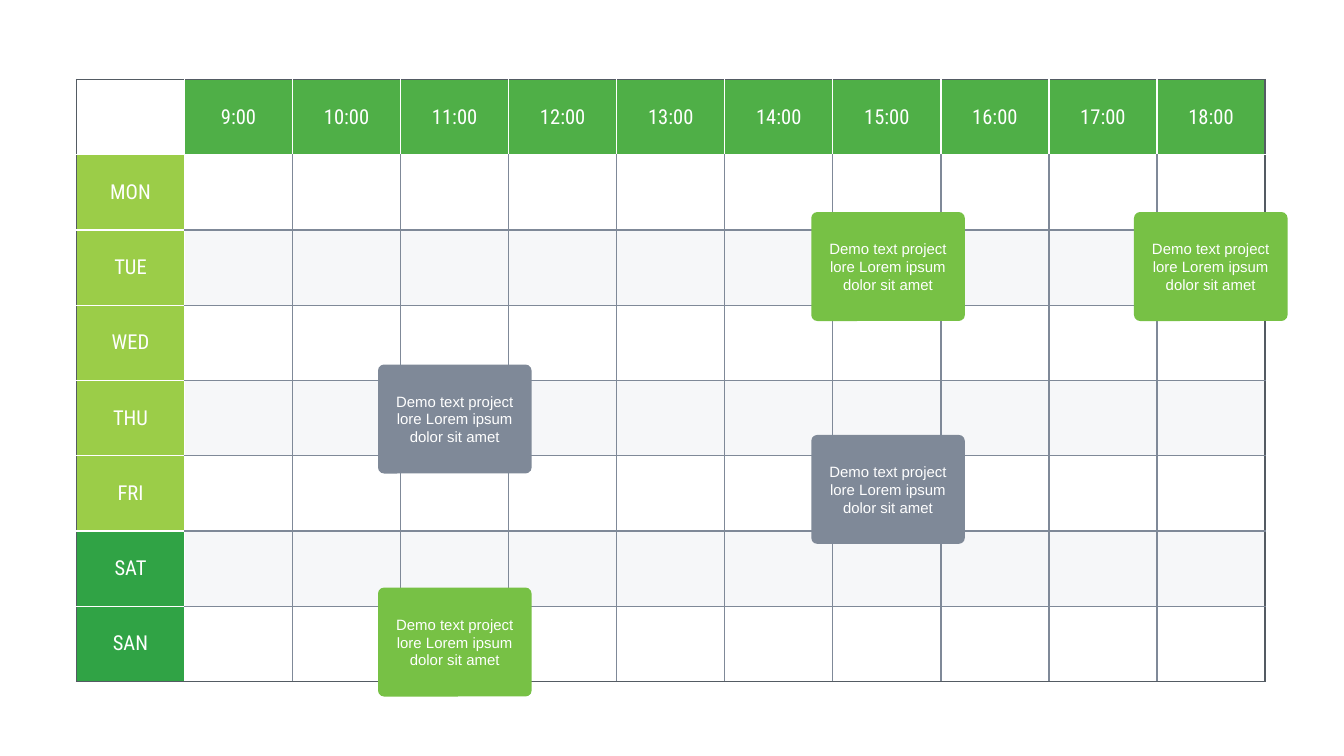
from pptx import Presentation
from pptx.dml.color import RGBColor
from pptx.enum.shapes import MSO_SHAPE
from pptx.enum.text import MSO_ANCHOR, PP_ALIGN
from pptx.oxml import parse_xml
from pptx.oxml.ns import nsdecls, qn
from pptx.util import Pt

ROUNDED = MSO_SHAPE.ROUNDED_RECTANGLE
MIDDLE = MSO_ANCHOR.MIDDLE
CENTER = PP_ALIGN.CENTER

WHITE = RGBColor(0xFF, 0xFF, 0xFF)
HOUR_GREEN = RGBColor(0x4F, 0xAF, 0x47)
WEEKDAY_GREEN = RGBColor(0x9B, 0xCD, 0x48)
WEEKEND_GREEN = RGBColor(0x30, 0xA3, 0x45)
CARD_GREEN = RGBColor(0x77, 0xC1, 0x45)
GREY = RGBColor(0x7F, 0x89, 0x98)
DARK = RGBColor(0x54, 0x5B, 0x63)
BAND = RGBColor(0xEE, 0xF0, 0xF4)

HOURS = [f"{hour}:00" for hour in range(9, 19)]
DAYS = ["MON", "TUE", "WED", "THU", "FRI", "SAT", "SAN"]
WEEKEND = ("SAT", "SAN")
CARD_TEXT = "Demo text project lore Lorem ipsum dolor sit amet"
CARD_W, CARD_H = 82.3, 58.4
CARDS = [
    (434.6, 113.6, CARD_GREEN),
    (202.5, 195.3, GREY),
    (434.6, 233, GREY),
    (202.5, 314.8, CARD_GREEN),
    (607.5, 113.6, CARD_GREEN),
]


def write_text(tf, text, size, font):
    p = tf.paragraphs[0]
    p.alignment = CENTER
    r = p.add_run()
    r.text = text
    r.font.size = Pt(size)
    r.font.name = font
    r.font.color.rgb = WHITE


def edge_color(outer, header):
    if outer:
        return DARK
    return WHITE if header else GREY


def set_borders(cell, colors):
    tc_pr = cell._tc.get_or_add_tcPr()
    for i, (side, color) in enumerate(zip("LRTB", colors)):
        tc_pr.insert(i, parse_xml(
            f'<a:ln{side} {nsdecls("a")} w="{Pt(0.75)}"><a:solidFill>'
            f'<a:srgbClr val="{color}"/></a:solidFill></a:ln{side}>'))


def fill_cell(cell, color, alpha=None):
    cell.fill.solid()
    cell.fill.fore_color.rgb = color
    if alpha:
        clr = cell._tc.tcPr.find(".//" + qn("a:srgbClr"))
        clr.append(parse_xml(f'<a:alpha {nsdecls("a")} val="{alpha * 1000}"/>'))


def format_cell(cell, row, col):
    if row and col:
        if row % 2:
            cell.fill.background()
        else:
            fill_cell(cell, BAND, 50)
    elif row or col:
        text = DAYS[row - 1] if row else HOURS[col - 1]
        day_color = WEEKEND_GREEN if text in WEEKEND else WEEKDAY_GREEN
        fill_cell(cell, day_color if row else HOUR_GREEN)
        cell.vertical_anchor = MIDDLE
        cell.margin_left = cell.margin_right = Pt(2.88)
        cell.margin_top = cell.margin_bottom = Pt(1.44)
        write_text(cell.text_frame, text, 11, "Roboto Condensed")
    else:
        cell.fill.background()
    set_borders(cell, [
        edge_color(col == 0, col == 1 or row == 0),
        edge_color(col == len(HOURS), col == 0 or row == 0),
        edge_color(row == 0, row == 1 or col == 0),
        edge_color(row == len(DAYS), row == 0 or col == 0),
    ])


def add_timetable(s, x, y, w, h):
    rows, cols = len(DAYS) + 1, len(HOURS) + 1
    table = s.shapes.add_table(rows, cols, Pt(x), Pt(y), Pt(w), Pt(h)).table
    table.first_row = table.horz_banding = False
    for column in table.columns:
        column.width = Pt(w / cols)
    for row in range(rows):
        table.rows[row].height = Pt(h / rows)
        for col in range(cols):
            format_cell(table.cell(row, col), row, col)


def add_card(s, x, y, w, h, color):
    sp = s.shapes.add_shape(ROUNDED, Pt(x), Pt(y), Pt(w), Pt(h))
    sp.adjustments[0] = 0.056
    sp.shadow.inherit = False
    sp.fill.solid()
    sp.fill.fore_color.rgb = color
    sp.line.fill.background()
    tf = sp.text_frame
    tf.word_wrap = True
    tf.vertical_anchor = MIDDLE
    tf.margin_left = tf.margin_right = Pt(1.44)
    tf.margin_top = tf.margin_bottom = Pt(1.44)
    write_text(tf, CARD_TEXT, 8, "Arial")


def main():
    prs = Presentation()
    prs.slide_width, prs.slide_height = Pt(720), Pt(405)
    s = prs.slides.add_slide(prs.slide_layouts[6])
    add_timetable(s, 41, 42.6, 637, 322.5)
    for x, y, color in CARDS:
        add_card(s, x, y, CARD_W, CARD_H, color)
    prs.save("out.pptx")


if __name__ == "__main__":
    main()
